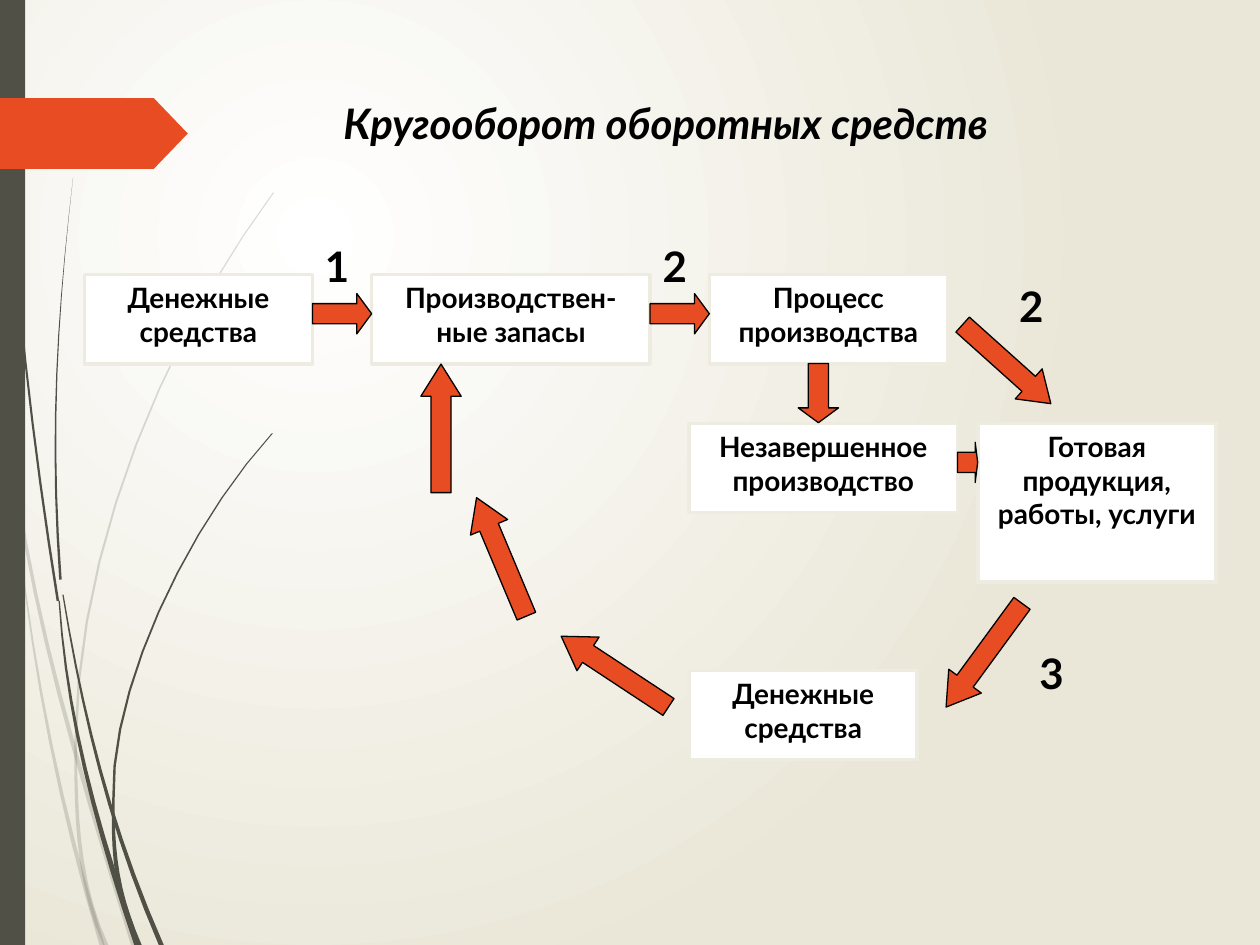
from lxml.etree import SubElement
from pptx import Presentation
from pptx.dml.color import RGBColor
from pptx.enum.shapes import MSO_SHAPE
from pptx.enum.text import MSO_ANCHOR, PP_ALIGN
from pptx.oxml.ns import qn
from pptx.util import Inches, Pt

FONT, INK, MOSS, FLAME = "Lato", "000000", "505046", "E84C22"
TITLE = ("Кругооборот оборотных средств", 2.33, 0.72, 5.91, 0.5)

BOXES = [
    ("Денежные средства", 0.67, 2.18, 1.81, 0.71),
    ("Производствен-ные запасы", 2.95, 2.18, 2.21, 0.71),
    ("Процесс производства", 5.63, 2.18, 1.89, 0.71),
    ("Готовая продукция, работы, услуги", 7.76, 3.36, 1.89, 1.26),
    ("Незавершенное производство", 5.47, 3.36, 2.13, 0.71),
    ("Денежные средства", 5.47, 5.32, 1.81, 0.71),
]
ARROWS = [
    (2.48, 2.33, 0.47, 0),
    (5.16, 2.33, 0.47, 0),
    (7.52, 2.73, 0.94, 41.9),
    (6.26, 2.96, 0.47, 90),
    (7.6, 3.51, 0.16, 0),
    (7.3, 5.04, 1.02, 126.2),
    (4.37, 5.17, 1.02, 213.4),
    (3.47, 4.26, 1.02, 247.2),
    (2.99, 3.24, 1.02, 270),
]
STEPS = [("1", 2.48, 1.86), ("2", 5.16, 1.86), ("2", 7.99, 2.18), ("3", 8.15, 5.09)]

PALE = [
    ([(0.03, 3.1), (0.23, 4.45), (0.55, 5.8), (1.06, 7.5)], 0.02, 0.04),
    ([(0.08, 3.5), (0.22, 4.83), (0.46, 6.17), (0.81, 7.5)], 0, 0.04),
    ([(2.17, 1.53), (1.4, 2.8), (0.83, 4.3), (0.6, 5.9)], 0.01, 0.02),
    ([(0.6, 5.9), (0.61, 6.4), (0.67, 6.95), (0.84, 7.5)], 0.02, 0.04),
]
DARK = [
    ([(0.03, 0), (0.09, 1.6), (0.24, 3.2), (0.46, 4.77)], 0.01, 0.02),
    ([(0.5, 4.72), (0.68, 5.65), (0.93, 6.57), (1.28, 7.5)], 0.01, 0.04),
    ([(0.47, 4.77), (0.58, 5.65), (0.79, 6.55), (1.09, 7.5)], 0.01, 0.05),
    ([(0.58, 1.41), (0.48, 2.45), (0.44, 3.49), (0.48, 4.6)], 0, 0.02),
    ([(2.16, 3.44), (1.52, 4.34), (1.06, 5.38), (0.9, 6.35)], 0.01, 0.02),
    ([(0.9, 6.35), (0.91, 6.75), (0.97, 7.12), (1.1, 7.5)], 0.02, 0.05),
]


def tint(shape, fill, line=None, width=0):
    """Give a shape a flat fill and an optional outline."""
    shape.shadow.inherit = False
    shape.fill.solid()
    shape.fill.fore_color.rgb = RGBColor.from_string(fill)
    if line:
        shape.line.color.rgb = RGBColor.from_string(line)
        shape.line.width = Pt(width)
    else:
        shape.line.fill.background()


def block(kind, area, *look):
    """Add a preset shape with its colours."""
    shape = slide.shapes.add_shape(kind, *map(Inches, area))
    tint(shape, *look)
    return shape


def write(shape, text, size, align, slant=False):
    """Put bold text at the top of a shape."""
    frame = shape.text_frame
    frame.text = text
    frame.word_wrap = True
    frame.vertical_anchor = MSO_ANCHOR.TOP
    para = frame.paragraphs[0]
    para.alignment = align
    para.space_before = Pt(0)
    font = para.runs[0].font
    font.name, font.size, font.bold, font.italic = FONT, Pt(size), True, slant
    font.color.rgb = RGBColor.from_string(INK)


def bend(knots, t):
    """Find the point at t on the cubic through four knots."""
    a, b, c = 3 * t - 1, 3 * t - 2, t - 1
    rates = (-a * b * c / 2, 9 * t * b * c / 2, -9 * t * a * c / 2, t * a * b / 2)
    return [sum(r * k[axis] for r, k in zip(rates, knots)) for axis in (0, 1)]


def trace(knots, thin, thick, steps=10):
    """List the outline of a blade that widens along its curve."""
    near, far = [], []
    for n in range(steps + 1):
        t = n / steps
        x, y = bend(knots, t)
        half = (thin + (thick - thin) * t) / 2
        near.append((Inches(x - half), Inches(y)))
        far.append((Inches(x + half), Inches(y)))
    return near + far[::-1]


def grass(blades, alpha=None):
    """Draw a group of curved blades."""
    group = slide.shapes.add_group_shape()
    for blade in blades:
        first, *rest = trace(*blade)
        pen = group.shapes.build_freeform(*first)
        pen.add_line_segments(rest, close=True)
        shape = pen.convert_to_shape()
        tint(shape, MOSS)
        if alpha:
            color = shape._element.spPr.find(qn("a:solidFill"))[0]
            SubElement(color, qn("a:alpha"), val=str(alpha * 1000))


def glow():
    """Fill the background with a round gradient."""
    fill = slide.background.fill
    fill.gradient()
    for stop, color in zip(fill.gradient_stops, ("FFFFFF", "EAE7D8")):
        stop.color.rgb = RGBColor.from_string(color)
    grad = slide._element.xpath(".//a:gradFill")[0]
    grad.remove(grad.find(qn("a:lin")))
    ring = SubElement(grad, qn("a:path"), path="circle")
    SubElement(ring, qn("a:fillToRect"), l="50000", t="50000", r="100000", b="100000")


deck = Presentation()
deck.slide_width, deck.slide_height = Inches(10), Inches(7.5)
slide = deck.slides.add_slide(deck.slide_layouts[5])
glow()
grass(PALE, 20)
grass(DARK)
block(MSO_SHAPE.RECTANGLE, (0, 0, 0.2, 7.5), MOSS)
flag = block(MSO_SHAPE.PENTAGON, (0, 0.78, 1.49, 0.56), FLAME)
flag.adjustments[0] = 0.48

text, *area = TITLE
title = slide.shapes.title
title.left, title.top, title.width, title.height = map(Inches, area)
write(title, text, 24, PP_ALIGN.CENTER, True)

for text, *area in BOXES:
    write(block(MSO_SHAPE.RECTANGLE, area, "FFFFFF", "EEECE1", 2), text, 16, PP_ALIGN.CENTER)
for left, top, width, turn in ARROWS:
    arrow = block(MSO_SHAPE.RIGHT_ARROW, (left, top, width, 0.32), FLAME, INK, 0.75)
    arrow.adjustments[1] = width / 0.32 / 4
    arrow.rotation = turn
for text, left, top in STEPS:
    write(slide.shapes.add_textbox(*map(Inches, (left, top, 0.39, 0.5))), text, 24, PP_ALIGN.LEFT)

deck.save("out.pptx")
